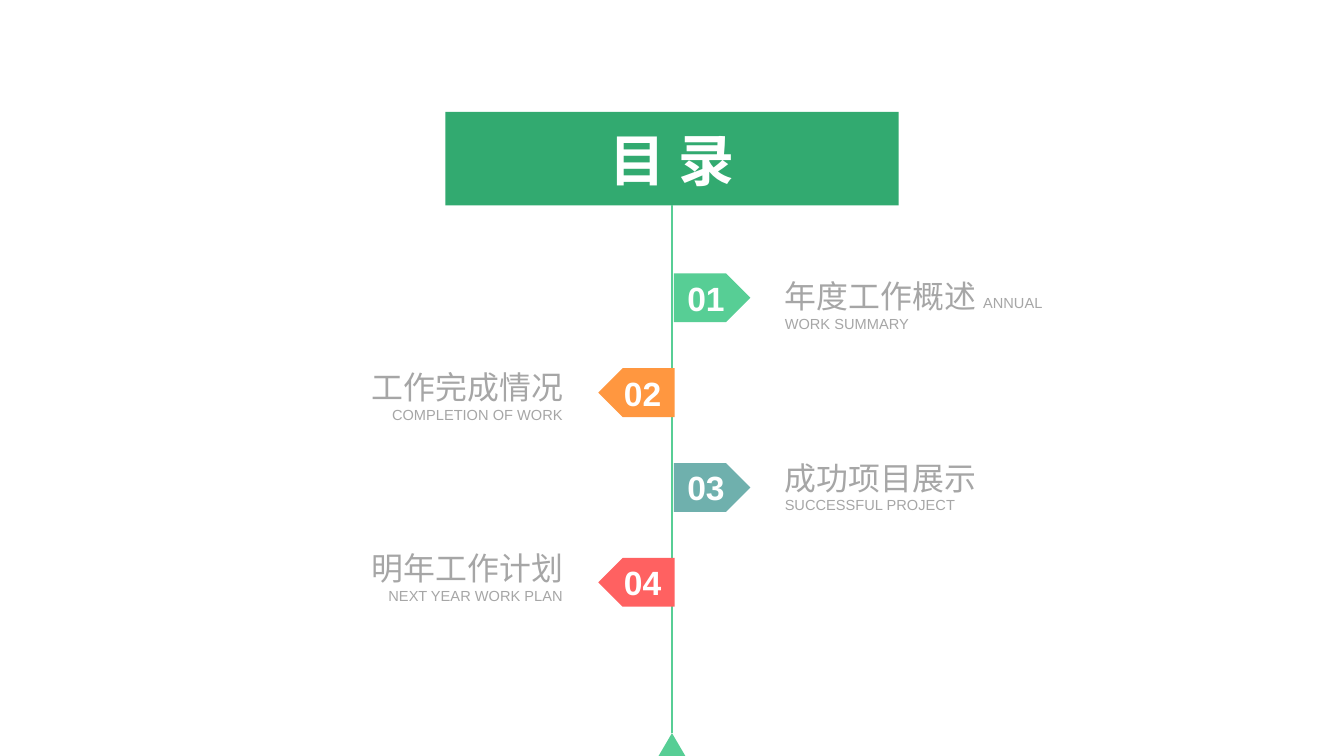
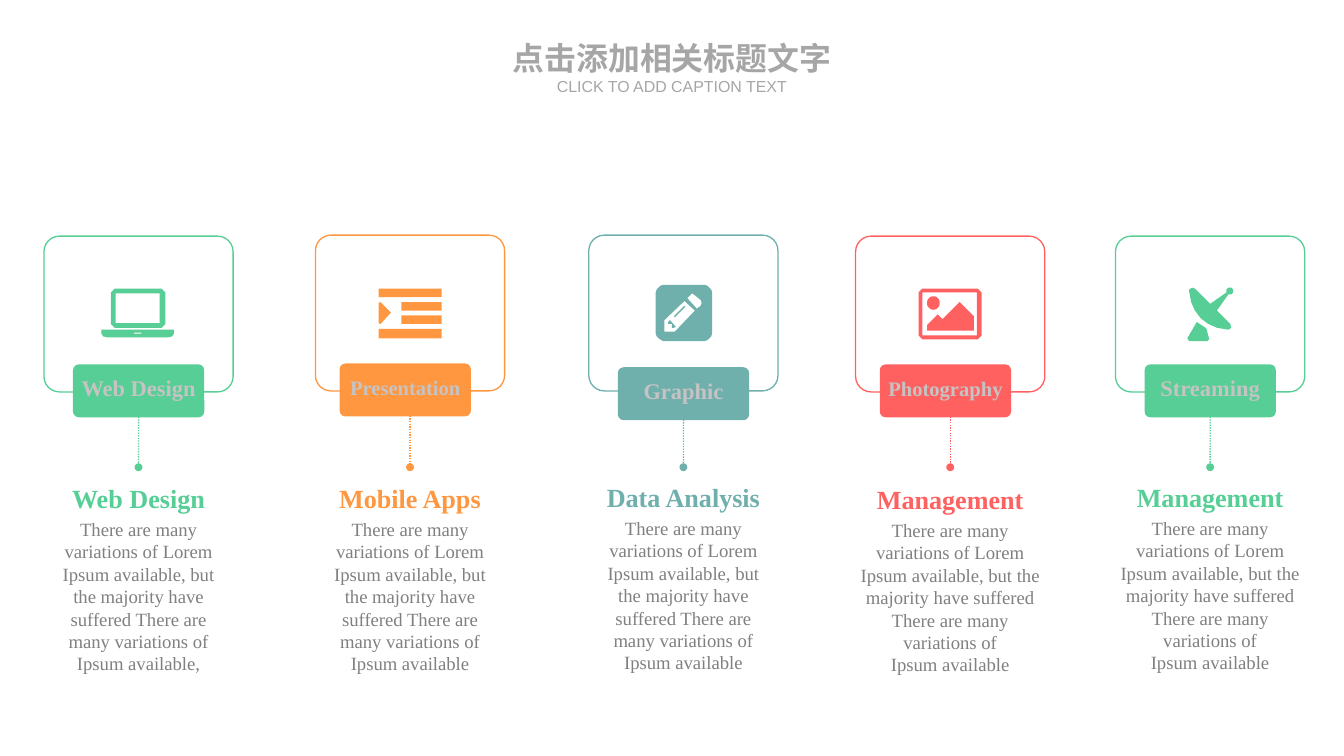
"""Build a contents slide and a five-card slide on a 100 by 100 grid."""
from dataclasses import dataclass
from math import cos, pi, sin

from lxml import etree
from pptx import Presentation
from pptx.dml.color import RGBColor
from pptx.enum.dml import MSO_LINE
from pptx.enum.lang import MSO_LANGUAGE_ID
from pptx.enum.shapes import MSO_CONNECTOR, MSO_SHAPE
from pptx.enum.text import MSO_ANCHOR, MSO_AUTO_SIZE, PP_ALIGN
from pptx.oxml.ns import qn
from pptx.util import Inches, Pt

LEFT, CENTER, RIGHT = PP_ALIGN.LEFT, PP_ALIGN.CENTER, PP_ALIGN.RIGHT
TOP, MIDDLE = MSO_ANCHOR.TOP, MSO_ANCHOR.MIDDLE
PENTAGON, TRIANGLE = MSO_SHAPE.PENTAGON, MSO_SHAPE.ISOSCELES_TRIANGLE
ROUNDED = MSO_SHAPE.ROUNDED_RECTANGLE
STRAIGHT, DOTTED = MSO_CONNECTOR.STRAIGHT, MSO_LINE.ROUND_DOT
CHINESE, ENGLISH = MSO_LANGUAGE_ID.SIMPLIFIED_CHINESE, MSO_LANGUAGE_ID.ENGLISH_US

GREEN = RGBColor(0x57, 0xCE, 0x95)
DARK_GREEN = RGBColor(0x32, 0xAA, 0x70)
ORANGE = RGBColor(0xFF, 0x97, 0x40)
TEAL = RGBColor(0x6F, 0xB0, 0xAD)
RED = RGBColor(0xFF, 0x61, 0x61)
WHITE = RGBColor(0xFF, 0xFF, 0xFF)
SILVER = RGBColor(0xC5, 0xC3, 0xC3)
LIGHT_GREY = RGBColor(0xA6, 0xA6, 0xA6)
GREY = RGBColor(0x80, 0x80, 0x80)

SANS, SERIF = "Arial", "Times New Roman"
WIDTH, HEIGHT = Inches(14.06), Inches(7.91)
COL, ROW = WIDTH / 100, HEIGHT / 100
ICON_UNIT = Inches(0.01)
COMPARISON, CONTENT = 4, 1


@dataclass
class Style:
    size: float
    color: RGBColor
    name: str = SANS
    bold: bool = False
    lang: MSO_LANGUAGE_ID = ENGLISH


@dataclass
class Entry:
    number: str
    heading: str
    caption: str
    color: RGBColor
    split: bool = False


@dataclass
class Card:
    color: RGBColor
    label: str
    label_size: float
    heading: str
    ending: str
    center: float
    top: float
    tag_shift: float
    tag_top: float
    text_top: float
    text_width: float
    icon: list
    icon_at: tuple


BANNER = Style(42.2, WHITE, bold=True, lang=CHINESE)
NUMBER = Style(25.3, WHITE, bold=True)
HEADING = Style(24, LIGHT_GREY, lang=CHINESE)
TITLE = Style(24, LIGHT_GREY, bold=True, lang=CHINESE)
CAPTION = Style(11, LIGHT_GREY)
SUBTITLE = Style(12, LIGHT_GREY)
CARD_TEXT = Style(14.1, GREY, SERIF)


def ring(x: float, y: float, w: float, h: float, r: float = 0) -> list:
    """Return the outline of a rectangle with corners of radius r."""
    if not r:
        return [(x, y), (x + w, y), (x + w, y + h), (x, y + h)]
    centers = [(x + w - r, y + h - r), (x + r, y + h - r), (x + r, y + r), (x + w - r, y + r)]
    return [(cx + r * cos((q + k / 6) * pi / 2), cy + r * sin((q + k / 6) * pi / 2))
            for q, (cx, cy) in enumerate(centers) for k in range(7)]


LAPTOP = [
    [(0, 43), (76, 43), (76, 47), (74, 50), (70, 51), (6, 51), (2, 50), (0, 47)],
    ring(10, 0, 57, 41, 6), ring(15, 5, 46, 31, 1), ring(34, 46, 8, 1)]
INDENT = [
    ring(0, 0, 66, 9, 1), ring(0, 42, 66, 10, 1), ring(24, 14, 42, 9, 1),
    ring(24, 28, 42, 9, 1), [(0, 15), (2, 14), (13, 25), (2, 37), (0, 36)]]
PENCIL = [
    ring(0, 0, 59, 59, 11), [(41, 27), (30, 17), (9, 37), (9, 49), (20, 49)],
    [(21, 44), (19, 45), (17, 45), (17, 41), (13, 41), (13, 39), (15, 37)],
    [(31, 23), (20, 34), (19, 33), (30, 22)],
    [(47, 22), (48, 19), (47, 16), (41, 11), (38, 9), (36, 11), (33, 14), (43, 25)]]
PHOTO = [
    ring(0, 0, 66, 53, 6), ring(4, 4, 57, 45, 1), ring(9, 8, 13, 14, 6.5),
    [(58, 44), (9, 44), (9, 38), (20, 27), (25, 32), (43, 14), (58, 29)]]
DISH = [
    [(41, 5), (24, 17), (8, 1), (5, 0), (2, 2), (2, 4), (4, 15), (8, 24), (14, 32),
     (22, 38), (31, 42), (43, 44), (46, 42), (45, 38), (31, 24), (43, 7)],
    ring(41, 0, 7, 7, 3.5),
    [(20, 43), (19, 42), (10, 36), (0, 53), (2, 56), (21, 56), (23, 54)]]

ENTRIES = [
    Entry("01", "年度工作概述 ", "ANNUAL WORK SUMMARY", GREEN),
    Entry("02", "工作完成情况 ", "COMPLETION OF WORK", ORANGE),
    Entry("03", "成功项目展示 ", "SUCCESSFUL PROJECT", TEAL),
    Entry("04", "明年工作计划", "NEXT YEAR WORK PLAN", RED, True)]

CARDS = [
    Card(GREEN, "Web Design", 16.9, "Web Design", "Ipsum available,",
         10.31, 31.23, 0, 48.29, 63.21, 13.66, LAPTOP, (7.54, 38.18)),
    Card(ORANGE, "Presentation", 15.5, "Mobile Apps", "Ipsum available",
         30.51, 31.1, -0.36, 48.17, 63.21, 13.94, INDENT, (28.17, 38.18)),
    Card(TEAL, "Graphic", 16.9, "Data Analysis", "Ipsum available",
         50.85, 31.1, 0, 48.67, 63.08, 13.8, PENCIL, (48.79, 37.67)),
    Card(RED, "Photography", 15.5, "Management", "Ipsum available",
         70.7, 31.23, -0.36, 48.29, 63.34, 15.29, PHOTO, (68.35, 38.18)),
    Card(GREEN, "Streaming", 16.9, "Management", "Ipsum available",
         90.04, 31.23, 0, 48.29, 63.08, 15.29, DISH, (88.34, 38.05))]
LOREM = ("There are many variations of Lorem Ipsum available, but the majority "
         "have suffered There are many variations of")


def box(col: float, row: float, cols: float, rows: float) -> list[int]:
    """Turn grid columns and rows into left, top, width and height."""
    return [round(v) for v in (col * COL, row * ROW, cols * COL, rows * ROW)]


def place(sp, col: float, row: float, cols: float, rows: float) -> None:
    """Move a placeholder to a place on the grid."""
    for key, value in zip(("left", "top", "width", "height"), box(col, row, cols, rows)):
        setattr(sp, key, value)


def write(sp, paragraphs: list, align=CENTER, anchor=MIDDLE, inset: float = 0, gap: float = 0) -> None:
    """Fill a shape with paragraphs, each a list of text and style pairs."""
    tf = sp.text_frame
    fmt = {"word_wrap": True, "auto_size": MSO_AUTO_SIZE.NONE, "vertical_anchor": anchor,
           "margin_left": Inches(inset), "margin_right": Inches(inset),
           "margin_top": Inches(inset / 2), "margin_bottom": Inches(inset / 2)}
    for key, value in fmt.items():
        setattr(tf, key, value)
    for i, runs in enumerate(paragraphs):
        p = tf.add_paragraph() if i else tf.paragraphs[0]
        p.alignment, p.space_before = align, Pt(gap if i else 0)
        pPr = p._p.get_or_add_pPr()
        pPr.set("marL", "0")
        pPr.set("indent", "0")
        etree.SubElement(pPr, qn("a:buNone"))
        for text, style in runs:
            for k, part in enumerate(text.split("\n")):
                if k:
                    p.add_line_break()
                r = p.add_run()
                r.text = part
                font = {"size": Pt(style.size), "name": style.name,
                        "bold": style.bold, "language_id": style.lang}
                for key, value in font.items():
                    setattr(r.font, key, value)
                r.font.color.rgb = style.color


def paint(sp, fill: RGBColor | None = None, line: RGBColor | None = None) -> None:
    """Set fill and line, leaving out what is not given."""
    sp.shadow.inherit = False
    for target, color in ((sp.fill, fill), (sp.line.fill, line)):
        if color is None:
            target.background()
        else:
            target.solid()
            target.fore_color.rgb = color
    if line is not None:
        sp.line.width = Pt(1)


def add_line(s, start: tuple, end: tuple, color: RGBColor, width: float, dotted: bool = False):
    """Draw a straight connector, dotted ones ending in a dot."""
    x1, y1, x2, y2 = box(*start, *end)
    cn = s.shapes.add_connector(STRAIGHT, x1, y1, x2, y2)
    cn.line.color.rgb, cn.line.width = color, Pt(width)
    if dotted:
        cn.line.dash_style = DOTTED
        etree.SubElement(cn.line._get_or_add_ln(), qn("a:tailEnd"), type="oval")
    etree.SubElement(cn._element.spPr, qn("a:effectLst"))
    return cn


def add_icon(s, card: Card) -> None:
    """Draw all outlines of an icon as one freeform."""
    first, *rest = card.icon
    fb = s.shapes.build_freeform(*first[0], scale=ICON_UNIT)
    fb.add_line_segments(first[1:])
    for outline in rest:
        fb.move_to(*outline[0])
        fb.add_line_segments(outline[1:])
    x, y = card.icon_at
    paint(fb.convert_to_shape(round(x * COL), round(y * ROW)), card.color)


def add_entry(s, i: int, entry: Entry, body) -> None:
    """Draw one numbered flag and its heading, right and left in turn."""
    on_left = i % 2 == 1
    sp = s.shapes.add_shape(PENTAGON, *box(44.52 if on_left else 50.14, 36.16 + 12.55 * i, 5.69, 6.45))
    paint(sp, entry.color)
    if on_left:
        sp._element.spPr.get_or_add_xfrm().set("flipH", "1")
    write(sp, [[(entry.number, NUMBER)]])
    place(body, 22.62 if on_left else 58.39, 36.54 + 12.01 * i, 19.27, 7.46)
    heading, caption = (entry.heading, HEADING), (entry.caption, CAPTION)
    paragraphs = [[heading], [caption]] if entry.split else [[heading, caption]]
    write(body, paragraphs, RIGHT if on_left else LEFT)


def add_card(s, card: Card) -> None:
    """Draw a frame with its icon, tag, dotted lead and text."""
    frame = s.shapes.add_shape(ROUNDED, *box(card.center - 7.04, card.top, 14.08, 20.61))
    tag_left = card.center + card.tag_shift - 4.83
    tag = s.shapes.add_shape(ROUNDED, *box(tag_left, card.tag_top, 9.67, 6.83))
    for sp, fill in ((frame, None), (tag, card.color)):
        sp.adjustments[0] = 0.1
        paint(sp, fill, card.color)
    write(tag, [[(card.label, Style(card.label_size, SILVER, SERIF, True))]])
    tag.text_frame.margin_bottom = Inches(0.06)
    lead = add_line(s, (card.center, card.tag_top + 6.83), (card.center, 61.8), card.color, 1, True)
    if not card.tag_shift:
        lead.begin_connect(tag, 2)
    add_icon(s, card)
    sp = s.shapes.add_textbox(*box(card.center - card.text_width / 2, card.text_top, card.text_width, 27.05))
    write(sp, [[(card.heading, Style(19.7, card.color, SERIF, True))],
               [(f"{LOREM}\n{card.ending}", CARD_TEXT)]], anchor=TOP, inset=0.1, gap=2.8)


def contents_slide(prs) -> None:
    """Build the contents slide."""
    s = prs.slides.add_slide(prs.slide_layouts[COMPARISON])
    title, *bodies = s.placeholders
    place(title, 33.14, 14.79, 33.72, 12.39)
    paint(title, DARK_GREEN)
    write(title, [[("目 录", BANNER)]])
    tip = s.shapes.add_shape(TRIANGLE, *box(49, 96.97, 2, 3.03))
    paint(tip, GREEN)
    trunk = add_line(s, (50, 27.18), (50, 96.97), GREEN, 2)
    trunk.begin_connect(title, 2)
    trunk.end_connect(tip, 0)
    for i, (entry, body) in enumerate(zip(ENTRIES, bodies)):
        add_entry(s, i, entry, body)


def cards_slide(prs) -> None:
    """Build the slide with five cards."""
    s = prs.slides.add_slide(prs.slide_layouts[CONTENT])
    title, subtitle = s.placeholders
    place(title, 37.48, 5.06, 25.04, 5.06)
    write(title, [[("点击添加相关标题文字", TITLE)]], anchor=TOP)
    place(subtitle, 39.73, 10.11, 20.54, 2.53)
    write(subtitle, [[("CLICK TO ADD CAPTION TEXT", SUBTITLE)]], anchor=TOP)
    for card in CARDS:
        add_card(s, card)


def main() -> None:
    """Build and save the presentation."""
    prs = Presentation()
    prs.slide_width, prs.slide_height = WIDTH, HEIGHT
    contents_slide(prs)
    cards_slide(prs)
    prs.save("out.pptx")


if __name__ == "__main__":
    main()
